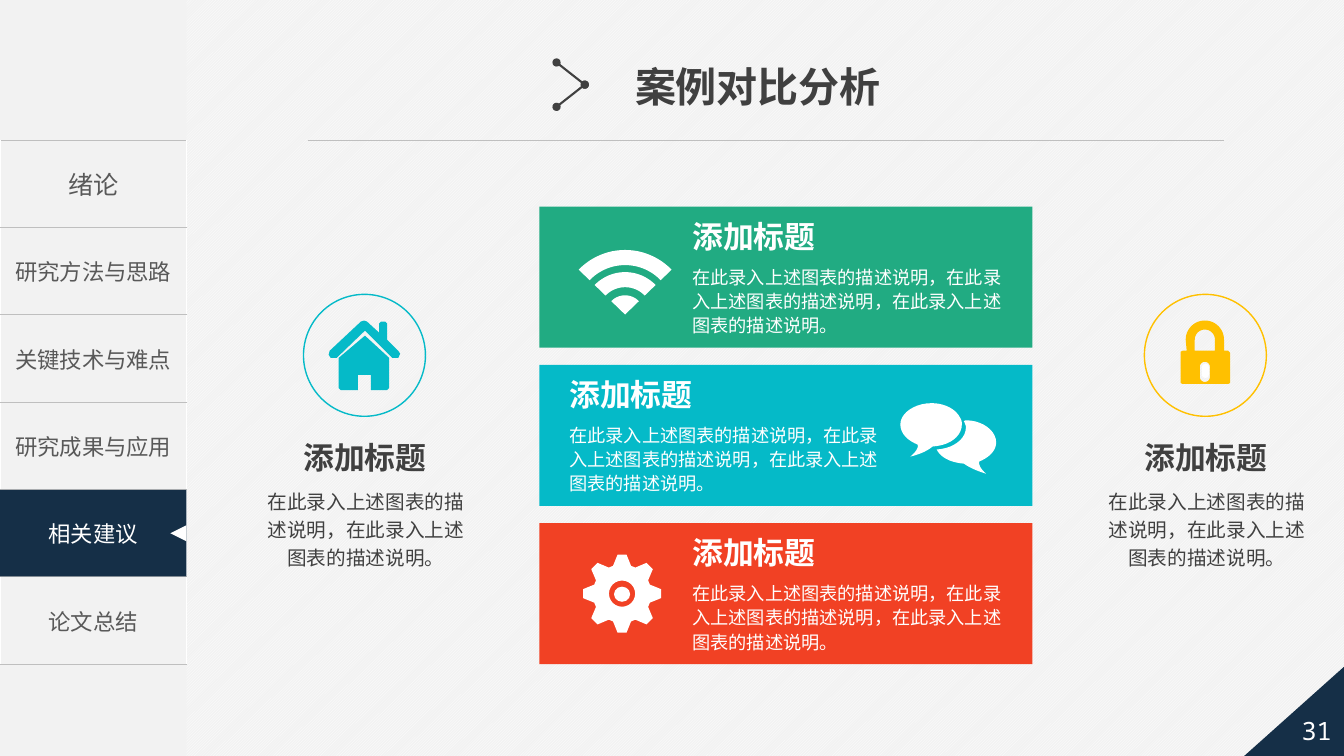
import math

import lxml.etree
import pptx
import pptx.dml.color
import pptx.enum.dml
import pptx.enum.lang
import pptx.enum.shapes
import pptx.enum.text
import pptx.oxml
import pptx.oxml.ns
import pptx.util

Inches = pptx.util.Inches
Shapes = pptx.enum.shapes.MSO_SHAPE
Align = pptx.enum.text.PP_ALIGN
Anchor = pptx.enum.text.MSO_ANCHOR
qn = pptx.oxml.ns.qn

COLORS = {
    "panel": "F2F2F2", "white": "FFFFFF", "navy": "152F47", "rule": "BFBFBF",
    "gray": "595959", "dark": "404040", "green": "21AB82", "teal": "05BAC8",
    "red": "F14124", "yellow": "FFC000",
}
CJK = "Noto Sans CJK SC"
HEADING = "添加标题"
PHRASE = "在此录入上述图表的描述说明"


def color(name):
    return pptx.dml.color.RGBColor.from_string(COLORS[name])


def arc(center_x, center_y, radius, start, end, steps=24):
    """Points on a circle; degrees run clockwise from the right."""
    angles = [math.radians(start + (end - start) * i / steps) for i in range(steps + 1)]
    return [(center_x + radius * math.cos(a), center_y + radius * math.sin(a)) for a in angles]


def curve(start, *segments, steps=10):
    """Points along cubic segments (x1, y1, x2, y2, x, y)."""
    points = [start]
    for x1, y1, x2, y2, x3, y3 in segments:
        x0, y0 = points[-1]
        for i in range(1, steps + 1):
            t = i / steps
            a, b, c, d = (1 - t) ** 3, 3 * t * (1 - t) ** 2, 3 * t * t * (1 - t), t ** 3
            points.append((a * x0 + b * x1 + c * x2 + d * x3, a * y0 + b * y1 + c * y2 + d * y3))
    return points


class SlideBuilder:
    def __init__(self, slide):
        self.slide = slide

    def background(self):
        fill = self.slide.background.fill
        fill.patterned()
        fill.pattern = pptx.enum.dml.MSO_PATTERN.LIGHT_UPWARD_DIAGONAL
        fill.fore_color.rgb = color("white")
        fill.back_color.rgb = color("panel")

    def paint(self, shape, fill=None, line=None):
        shape.shadow.inherit = False
        if fill:
            shape.fill.solid()
            shape.fill.fore_color.rgb = color(fill)
        else:
            shape.fill.background()
        if line:
            shape.line.color.rgb = color(line)
            shape.line.width = pptx.util.Pt(1)
        else:
            shape.line.fill.background()
        return shape

    def shape(self, kind, box, fill=None, line=None, flip=False):
        shape = self.slide.shapes.add_shape(kind, *map(Inches, box))
        if flip:
            shape.element.spPr.xfrm.set("flipH", "1")
        return self.paint(shape, fill, line)

    def outline(self, fill, *contours):
        scaled = [[(Inches(x), Inches(y)) for x, y in contour] for contour in contours]
        builder = self.slide.shapes.build_freeform(*scaled[0][0], scale=1.0)
        builder.add_line_segments(scaled[0][1:], close=True)
        for contour in scaled[1:]:
            builder.move_to(*contour[0])
            builder.add_line_segments(contour[1:], close=True)
        return self.paint(builder.convert_to_shape(), fill)

    def fill_frame(self, frame, text, size, ink, font=CJK, bold=False, align=Align.CENTER, spacing=None):
        frame.text = text
        paragraph = frame.paragraphs[0]
        paragraph.alignment = align
        if spacing:
            paragraph.line_spacing = spacing
        run = paragraph.runs[0]
        run.font.name, run.font.size, run.font.bold = font, pptx.util.Pt(size), bold
        run.font.color.rgb = color(ink)
        run.font.language_id = pptx.enum.lang.MSO_LANGUAGE_ID.SIMPLIFIED_CHINESE
        lxml.etree.SubElement(run._r.get_or_add_rPr(), qn("a:ea")).set("typeface", CJK)

    def text(self, box, text, size, ink, wrap=True, **style):
        frame = self.slide.shapes.add_textbox(*map(Inches, box)).text_frame
        frame.word_wrap = wrap
        self.fill_frame(frame, text, size, ink, **style)

    def label(self, shape, text, size, font=CJK):
        shape.text_frame.vertical_anchor = Anchor.MIDDLE
        self.fill_frame(shape.text_frame, text, size, "white", font=font)

    def line(self, start, end, ink, width, dots=False):
        connector = self.slide.shapes.add_connector(
            pptx.enum.shapes.MSO_CONNECTOR.STRAIGHT, *map(Inches, start + end))
        connector.line.color.rgb = color(ink)
        connector.line.width = pptx.util.Pt(width)
        properties = connector.element.spPr
        if dots:
            for tag in ("a:headEnd", "a:tailEnd"):
                lxml.etree.SubElement(properties.find(qn("a:ln")), qn(tag)).set("type", "oval")
        lxml.etree.SubElement(properties, qn("a:effectLst"))

    def menu(self, box, entries):
        table = self.slide.shapes.add_table(len(entries), 1, *map(Inches, box)).table
        table.first_row = table.horz_banding = False
        for index, entry in enumerate(entries):
            cell = table.cell(index, 0)
            cell.fill.background()
            cell.vertical_anchor = Anchor.MIDDLE
            cell.margin_left = cell.margin_right = Inches(0.05)
            self.fill_frame(cell.text_frame, entry, 16 if index else 18, "gray")
            properties = cell._tc.get_or_add_tcPr()
            for position, side in enumerate(("a:lnT", "a:lnB")):
                border = lxml.etree.Element(qn(side), w="12700")
                fill = lxml.etree.SubElement(border, qn("a:solidFill"))
                lxml.etree.SubElement(fill, qn("a:srgbClr")).set("val", COLORS["rule"])
                properties.insert(position, border)


def main():
    presentation = pptx.Presentation()
    presentation.slide_width, presentation.slide_height = Inches(13.33), Inches(7.5)
    builder = SlideBuilder(presentation.slides.add_slide(presentation.slide_layouts[6]))
    builder.background()

    # Side menu with the current chapter marked
    builder.shape(Shapes.RECTANGLE, (0, 0, 1.85, 7.5), "panel")
    chapters = ["绪论", "研究方法与思路", "关键技术与难点", "研究成果与应用", "相关建议", "论文总结"]
    builder.menu((0, 1.39, 1.85, 5.2), chapters)
    current = builder.shape(Shapes.RECTANGLE, (0, 4.86, 1.85, 0.86), "navy")
    builder.label(current, chapters[4], 16)
    marker = builder.shape(Shapes.ISOSCELES_TRIANGLE, (1.69, 5.21, 0.16, 0.16), "white")
    marker.rotation = 270

    # Page number corner
    builder.shape(Shapes.RIGHT_TRIANGLE, (12.33, 6.58, 1.04, 0.93), "navy", flip=True)
    number = builder.shape(Shapes.PENTAGON, (12.45, 6.97, 1.08, 0.55), flip=True)
    builder.label(number, "31", 18, "Noto Sans Mono")

    # Title
    builder.line((3.05, 1.39), (12.14, 1.39), "rule", 0.5)
    builder.text((6.2, 0.56, 2.67, 0.59), "案例对比分析", 29.3, "dark", wrap=False,
                 font="Arial", bold=True, align=Align.LEFT)
    builder.line((5.52, 0.62), (5.8, 0.84), "dark", 1.5, dots=True)
    builder.line((5.8, 0.84), (5.52, 1.06), "dark", 1.5, dots=True)

    # Middle banners
    description = "，".join([PHRASE] * 3) + "。"
    for index, (fill, left) in enumerate([("green", 6.77), ("teal", 5.55), ("red", 6.77)]):
        top = 2.05 + 1.57 * index
        builder.shape(Shapes.RECTANGLE, (5.35, top, 4.89, 1.4), fill)
        builder.text((left, top + 0.06, 1.7, 0.47), HEADING, 22, "white", bold=True, align=Align.LEFT)
        builder.text((left, top + 0.52, 3.36, 0.82), description, 13, "white",
                     align=Align.LEFT, spacing=1.1)

    # Wireless icon: concentric sectors
    for outer, inner in [(0.64, 0.49), (0.42, 0.27), (0.19, 0)]:
        builder.outline("white", arc(6.2, 3.12, outer, 224, 316) + arc(6.2, 3.12, inner, 316, 224))

    # Speech bubbles icon
    builder.outline("white", curve(
        (9.88, 4.39), (9.88, 4.27, 9.74, 4.17, 9.58, 4.17), (9.57, 4.17, 9.56, 4.18, 9.56, 4.18),
        (9.57, 4.2, 9.58, 4.22, 9.58, 4.24), (9.58, 4.36, 9.45, 4.45, 9.29, 4.46),
        (9.33, 4.54, 9.43, 4.59, 9.56, 4.6), (9.64, 4.66, 9.78, 4.7, 9.78, 4.7),
        (9.71, 4.64, 9.71, 4.6, 9.71, 4.58), (9.81, 4.54, 9.88, 4.47, 9.88, 4.39)))
    builder.outline("white", curve(
        (9.52, 4.14), (9.48, 4.06, 9.37, 4, 9.24, 4), (9.07, 4, 8.93, 4.1, 8.93, 4.21),
        (8.93, 4.3, 9, 4.37, 9.1, 4.41), (9.11, 4.43, 9.1, 4.47, 9.03, 4.53),
        (9.03, 4.53, 9.17, 4.5, 9.25, 4.43), (9.42, 4.42, 9.54, 4.33, 9.54, 4.21),
        (9.54, 4.19, 9.54, 4.17, 9.52, 4.14)))

    # Gear icon: eight teeth around a hub
    gear = []
    for tooth in range(8):
        for offset, radius in [(-18, 0.29), (-6.5, 0.39), (6.5, 0.39), (18, 0.29)]:
            gear += arc(6.17, 5.89, radius, tooth * 45 + offset, 0, steps=1)[:1]
    builder.outline("white", gear, arc(6.17, 5.89, 0.13, 0, 360))
    builder.shape(Shapes.OVAL, (6.09, 5.82, 0.16, 0.15), "white")

    # Side captions under circles
    for left, ink in [(3.01, "teal"), (11.35, "yellow")]:
        builder.shape(Shapes.OVAL, (left, 2.92, 1.21, 1.21), line=ink)
        builder.text((left - 0.24, 4.3, 1.7, 0.47), HEADING, 22, "dark", bold=True)
        builder.text((left - 0.46, 4.76, 2.16, 0.95), f"{PHRASE}，{PHRASE}。", 14, "dark", spacing=1.2)

    # House icon: walls and roof
    builder.outline(
        "teal",
        [(3.62, 3.33), (3.86, 3.55), (3.86, 3.85), (3.84, 3.87), (3.68, 3.87), (3.68, 3.72),
         (3.55, 3.72), (3.55, 3.87), (3.38, 3.87), (3.36, 3.85), (3.36, 3.55)],
        [(3.61, 3.18), (3.64, 3.19), (3.76, 3.3), (3.76, 3.21), (3.78, 3.19), (3.82, 3.19),
         (3.84, 3.21), (3.84, 3.37), (3.95, 3.48), (3.97, 3.51), (3.95, 3.55), (3.89, 3.55),
         (3.62, 3.28), (3.34, 3.55), (3.28, 3.55), (3.26, 3.52), (3.27, 3.48), (3.58, 3.19)])

    # Padlock icon: body with shackle opening and keyhole
    builder.outline(
        "yellow",
        [(11.71, 3.49), (11.73, 3.48), (11.77, 3.48)] + arc(11.95, 3.37, 0.19, 180, 360)
        + [(12.14, 3.48), (12.18, 3.48), (12.2, 3.5), (12.2, 3.8), (12.18, 3.81), (11.73, 3.81), (11.71, 3.8)],
        [(11.85, 3.48)] + arc(11.95, 3.37, 0.1, 180, 360) + [(12.05, 3.48)],
        arc(11.95, 3.64, 0.05, 180, 360) + arc(11.95, 3.74, 0.05, 0, 180))
    keyhole = builder.shape(Shapes.ROUNDED_RECTANGLE, (11.92, 3.61, 0.07, 0.14), "white")
    keyhole.adjustments[0] = 0.5

    presentation.save("out.pptx")


if __name__ == "__main__":
    main()
